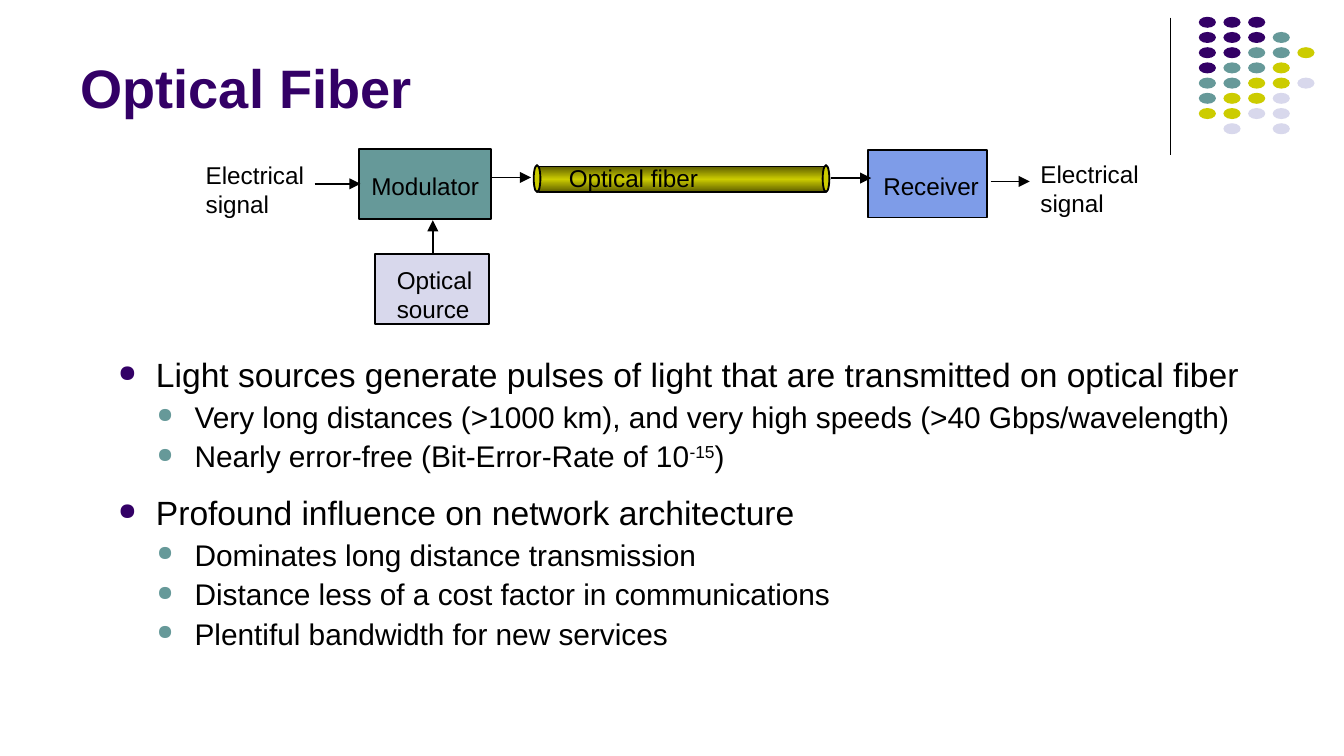
from copy import deepcopy

from pptx import Presentation
from pptx.dml.color import RGBColor
from pptx.enum.shapes import MSO_CONNECTOR, MSO_SHAPE
from pptx.enum.text import MSO_ANCHOR, PP_ALIGN
from pptx.oxml.ns import qn
from pptx.oxml.xmlchemy import OxmlElement
from pptx.util import Pt

RECT, OVAL = MSO_SHAPE.RECTANGLE, MSO_SHAPE.OVAL
STRAIGHT = MSO_CONNECTOR.STRAIGHT
BOTTOM, LEFT = MSO_ANCHOR.BOTTOM, PP_ALIGN.LEFT
FONT = "Arial"
COLORS = {
    "black": "000000", "purple": "330066", "teal": "669999", "olive": "CCCC00",
    "dark_olive": "5E5E00", "lavender": "D8D8EC", "blue": "7E9CE8",
}
# One letter per dot; a space leaves the place free
DOT_ROWS = ["PPP", "PPPT", "PPTTO", "PTTO", "TTOOL", "TOOL", "OOLL", " L L"]
DOT_COLORS = {"P": "purple", "T": "teal", "O": "olive", "L": "lavender"}

# Level, space before, runs as (text, is superscript)
BULLETS = [
    (0, 4.5, [("Light sources generate pulses of light that are transmitted on optical fiber", False)]),
    (1, 4, [("Very long distances (>1000 km), and very high speeds (>40 Gbps/wavelength)", False)]),
    (1, 4, [("Nearly error-free (Bit-Error-Rate of 10", False), ("-15", True), (")", False)]),
    (0, 12, [("Profound influence on network architecture", False)]),
    (1, 4, [("Dominates long distance transmission", False)]),
    (1, 4, [("Distance less of a cost factor in communications", False)]),
    (1, 4, [("Plentiful bandwidth for new services", False)]),
]
# Size, bullet colour and left indent of each level
LEVELS = [(18, "purple", 20.25), (16, "teal", 41)]
HANGING = 20.25


def rgb(name):
    return RGBColor.from_string(COLORS[name])


def add_span(para, text, size, color="black", bold=False):
    span = para.add_run()
    span.text = text
    span.font.name = FONT
    span.font.size = Pt(size)
    span.font.bold = bold
    span.font.color.rgb = rgb(color)
    return span


def add_solid(page, kind, left, top, width, height, color, outlined=True):
    shape = page.shapes.add_shape(kind, Pt(left), Pt(top), Pt(width), Pt(height))
    shape.shadow.inherit = False
    shape.fill.solid()
    shape.fill.fore_color.rgb = rgb(color)
    if outlined:
        shape.line.color.rgb = rgb("black")
        shape.line.width = Pt(1)
    else:
        shape.line.fill.background()
    return shape


def add_line(page, start, end, width=1, arrow=True):
    x1, y1, x2, y2 = (Pt(value) for value in (*start, *end))
    line = page.shapes.add_connector(STRAIGHT, x1, y1, x2, y2)
    line.line.color.rgb = rgb("black")
    line.line.width = Pt(width)
    if arrow:
        head = OxmlElement("a:tailEnd")
        head.set("type", "triangle")
        line.line._get_or_add_ln().append(head)
    line._element.spPr.append(OxmlElement("a:effectLst"))


def add_label(page, left, top, width, lines, wrap=False):
    height = 5.2 + 15.7 * len(lines)
    box = page.shapes.add_textbox(Pt(left), Pt(top), Pt(width), Pt(height))
    frame = box.text_frame
    frame.word_wrap = wrap
    frame.margin_left = frame.margin_right = Pt(5.1)
    frame.margin_top = frame.margin_bottom = Pt(2.6)
    for index, text in enumerate(lines):
        para = frame.add_paragraph() if index else frame.paragraphs[0]
        add_span(para, text, 13)


def add_title(page, left, top, width, height):
    title = page.shapes.title
    title.left, title.top, title.width, title.height = Pt(left), Pt(top), Pt(width), Pt(height)
    frame = title.text_frame
    frame.vertical_anchor = BOTTOM
    frame.word_wrap = True
    para = frame.paragraphs[0]
    para.alignment = LEFT
    add_span(para, "Optical Fiber", 29, "purple", bold=True)


def add_ornament(page, left, top, height):
    """Vertical rule with a field of dots beside it."""
    add_line(page, (left, top), (left, top + height), 0.75, arrow=False)
    for row, letters in enumerate(DOT_ROWS):
        for column, letter in enumerate(letters):
            if letter != " ":
                add_solid(page, OVAL, left + 15.1 + 13.2 * column, top - 0.4 + 8.15 * row,
                          9.2, 5.9, DOT_COLORS[letter], outlined=False)


def add_fiber(page, left, top, width, height):
    """Tube with an oval at each end and its label."""
    tube = add_solid(page, RECT, left + 2.6, top + 0.7, width - 4.6, height - 0.7, "olive")
    tube.fill.gradient()
    tube.fill.gradient_angle = 90
    stop_list = tube._element.spPr.find(qn("a:gradFill")).find(qn("a:gsLst"))
    stop_list.append(deepcopy(stop_list[-1]))
    shades = ["dark_olive", "olive", "dark_olive"]
    for index, (stop, shade) in enumerate(zip(tube.fill.gradient_stops, shades)):
        stop.position = index / 2
        stop.color.rgb = rgb(shade)
    for end in (left, left + width - 3.6):
        add_solid(page, OVAL, end, top, 3.6, height, "olive")
    add_label(page, left + 13.7, top - 3.6, 118, ["Optical fiber"], wrap=True)


def add_diagram(page, left, top):
    """Signal chain from modulator to receiver."""
    add_fiber(page, left + 180.8, top + 8.6, 158.4, 14.4)

    # Blocks: place, size, colour
    for x, y, width, height, color in [
        (95.9, 56.1, 61.2, 37.4, "lavender"),
        (87.2, 0, 70.6, 37.4, "teal"),
        (360.1, 0.7, 63.4, 36, "blue"),
    ]:
        add_solid(page, RECT, left + x, top + y, width, height, color)

    # Labels: place, width, lines
    for x, y, width, lines in [
        (0, 3.5, 63.4, ["Electrical", "signal"]),
        (88.7, 9.3, 68.4, ["Modulator"]),
        (102.4, 59.7, 51.1, ["Optical", "source"]),
        (363, 9.3, 61.9, ["Receiver"]),
        (447.2, 2.8, 63.4, ["Electrical", "signal"]),
    ]:
        add_label(page, left + x, top + y, width, lines)

    # Arrows along the chain, then the one up from the source
    for x1, y1, x2, y2 in [
        (63.5, 18.6, 88, 18.6),
        (157.8, 15.2, 179.4, 15.2),
        (340, 15.5, 361.6, 15.5),
        (425.6, 17.3, 446.5, 17.3),
        (126.8, 56.1, 126.8, 38.1),
    ]:
        add_line(page, (left + x1, top + y1), (left + x2, top + y2))


def set_bullet(para, color, indent):
    props = para._p.get_or_add_pPr()
    props.set("marL", str(Pt(indent)))
    props.set("indent", str(-Pt(HANGING)))
    bullet_color = OxmlElement("a:buClr")
    value = OxmlElement("a:srgbClr")
    value.set("val", COLORS[color])
    bullet_color.append(value)
    size = OxmlElement("a:buSzPct")
    size.set("val", "70000")
    mark = OxmlElement("a:buChar")
    mark.set("char", "●")
    props.extend([bullet_color, size, mark])


def add_bullets(page, left, top, width, height):
    box = page.shapes.add_textbox(Pt(left), Pt(top), Pt(width), Pt(height))
    frame = box.text_frame
    frame.word_wrap = True
    for index, (level, before, spans) in enumerate(BULLETS):
        para = frame.add_paragraph() if index else frame.paragraphs[0]
        size, color, indent = LEVELS[level]
        para.level = level
        para.line_spacing = 0.9
        para.space_before = Pt(before)
        set_bullet(para, color, indent)
        for text, raised in spans:
            span = add_span(para, text, size)
            if raised:
                span.font._element.set("baseline", "30000")


def main():
    deck = Presentation()
    deck.slide_width, deck.slide_height = Pt(720), Pt(405)
    page = deck.slides.add_slide(deck.slide_layouts[5])
    add_ornament(page, 627.1, 9.4, 73.6)
    add_title(page, 36, 7.2, 594, 60.5)
    add_bullets(page, 56.2, 188.6, 632.9, 178.6)
    add_diagram(page, 105.1, 79.9)
    deck.save("out.pptx")


if __name__ == "__main__":
    main()
